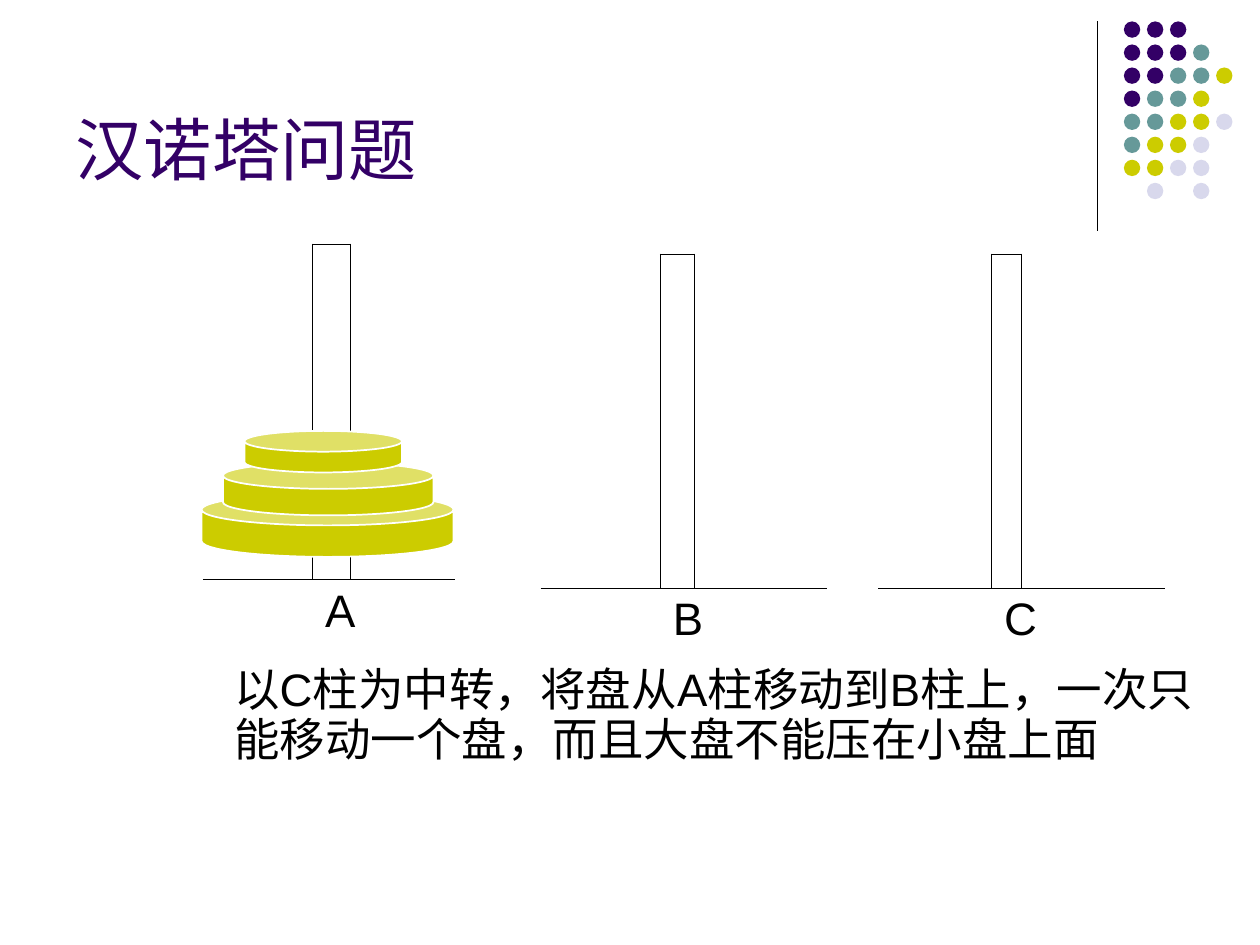
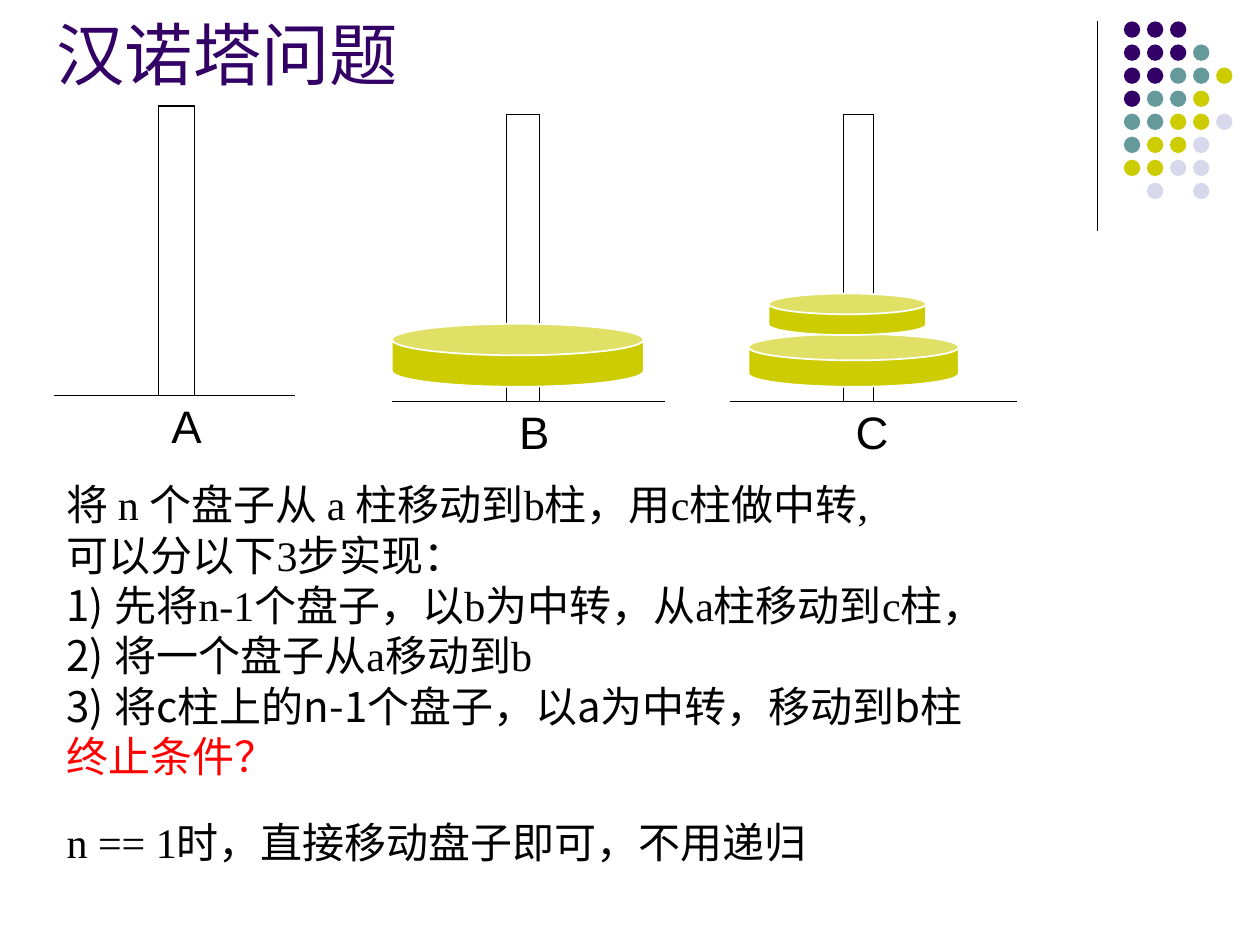
from typing import NamedTuple

from lxml.etree import SubElement
from pptx import Presentation
from pptx.dml.color import RGBColor
from pptx.enum.shapes import MSO_CONNECTOR, MSO_SHAPE
from pptx.enum.text import MSO_ANCHOR, MSO_AUTO_SIZE, PP_ALIGN
from pptx.oxml.ns import qn
from pptx.util import Inches, Pt

BLACK, WHITE, RED = "000000", "FFFFFF", "FF0000"
PURPLE, TEAL, OLIVE, LILAC = "330066", "669999", "CCCC00", "D8D8EC"
SANS, SERIF, HAN = "Arial", "Times New Roman", "Noto Sans CJK SC"

DOTS = ["PPP", "PPPT", "PPTTY", "PTTY", "TTYYL", "TYYL", "YYLL", " L L"]
DOT_FILL = {"P": PURPLE, "T": TEAL, "Y": OLIVE, "L": LILAC}
DOT, DOT_STEP = 0.13, 0.183
SHAFT_ROWS = 4


class Box(NamedTuple):
    left: float
    top: float
    width: float
    height: float


class Peg(NamedTuple):
    label: str
    left: float
    top: float
    cols: tuple[float, float, float]
    shaft: float


class Disc(NamedTuple):
    width: float
    height: float


class Line(NamedTuple):
    text: str
    font: str = SERIF
    size: float = 24
    color: str = BLACK
    number: int = 0


BIG, MID, SMALL = Disc(2, 0.5), Disc(1.67, 0.42), Disc(1.25, 0.33)


def rgb(color: str) -> RGBColor:
    return RGBColor.from_string(color)


def place(box: Box) -> list[int]:
    return [Inches(side) for side in box]


def style(para, font: str, size: float, color: str) -> None:
    para.font.name = font
    para.font.size = Pt(size)
    para.font.color.rgb = rgb(color)
    props = para._p.pPr.find(qn("a:defRPr"))
    SubElement(props, qn("a:ea"), typeface=HAN)


def number(para, start: int, font: str) -> None:
    """Number a paragraph as 1) with a hanging indent."""
    props = para._p.get_or_add_pPr()
    props.set("marL", str(Inches(0.38)))
    props.set("indent", str(-Inches(0.38)))
    SubElement(props, qn("a:buFont"), typeface=font)
    SubElement(props, qn("a:buAutoNum"), type="arabicParenR", startAt=str(start))


def add_title(slide, text: str, box: Box) -> None:
    title = slide.shapes.title
    title.left, title.top, title.width, title.height = place(box)
    frame = title.text_frame
    frame.text = text
    frame.auto_size = MSO_AUTO_SIZE.NONE
    frame.vertical_anchor = MSO_ANCHOR.BOTTOM
    para = frame.paragraphs[0]
    para.alignment = PP_ALIGN.LEFT
    style(para, SANS, 39, PURPLE)


def add_text(slide, box: Box, lines: list[Line], spacing: float = 1) -> None:
    frame = slide.shapes.add_textbox(*place(box)).text_frame
    frame.word_wrap = True
    for i, line in enumerate(lines):
        para = frame.add_paragraph() if i else frame.paragraphs[0]
        para.text = line.text
        para.line_spacing = spacing
        if line.number:
            number(para, line.number, line.font)
        style(para, line.font, line.size, line.color)


def add_shape(shapes, kind: MSO_SHAPE, box: Box, fill: str):
    shape = shapes.add_shape(kind, *place(box))
    shape.shadow.inherit = False
    shape.fill.solid()
    shape.fill.fore_color.rgb = rgb(fill)
    shape.line.fill.background()
    return shape


def add_disc(slide, disc: Disc, left: float, top: float) -> None:
    can = add_shape(slide.shapes, MSO_SHAPE.CAN, Box(left, top, *disc), OLIVE)
    can.adjustments[0] = 0.5
    can.line.color.rgb = rgb(WHITE)
    can.line.width = Pt(1)


def set_edges(cell, edges: dict[str, float]) -> None:
    """Draw the given sides (L, R, T, B) in black and clear the rest."""
    props = cell._tc.get_or_add_tcPr()
    for side in "LRTB":
        width = edges.get(side, 0)
        line = SubElement(props, qn(f"a:ln{side}"), w=str(Pt(width)))
        if width:
            fill = SubElement(line, qn("a:solidFill"))
            SubElement(fill, qn("a:srgbClr"), val=BLACK)
        else:
            SubElement(line, qn("a:noFill"))
    cell.fill.background()


def add_peg(slide, peg: Peg) -> None:
    foot = 0.54
    box = Box(peg.left, peg.top, sum(peg.cols), peg.shaft + foot)
    table = slide.shapes.add_table(SHAFT_ROWS + 1, 3, *place(box)).table
    table.first_row = table.horz_banding = False
    for col, width in zip(table.columns, peg.cols):
        col.width = Inches(width)
    for row in table.rows:
        row.height = Inches(peg.shaft / SHAFT_ROWS)
    table.rows[SHAFT_ROWS].height = Inches(foot)
    for y in range(SHAFT_ROWS + 1):
        for x in range(3):
            edges = {}
            if y == SHAFT_ROWS:
                edges["T"] = 0.45
            else:
                if x != 1 or y == SHAFT_ROWS - 1:
                    edges["B"] = 0.45
                if x > 0:
                    edges["L"] = 0.45
                if x < 2:
                    edges["R"] = 0.45
                if x == 1 and y == 0:
                    edges["T"] = 1.08
            set_edges(table.cell(y, x), edges)
    for x in (0, 2):
        table.cell(0, x).merge(table.cell(SHAFT_ROWS - 1, x))
    cell = table.cell(SHAFT_ROWS, 1)
    cell.text = peg.label
    style(cell.text_frame.paragraphs[0], SANS, 26, BLACK)


def add_decor(slide) -> None:
    """Put the rule and the dot grid on the layout of the slide."""
    x = Inches(8.71)
    rule = slide.shapes.add_connector(
        MSO_CONNECTOR.STRAIGHT, x, Inches(0.17), x, Inches(1.83))
    rule.line.color.rgb = rgb(BLACK)
    rule.line.width = Pt(0.75)
    SubElement(rule._element.spPr, qn("a:effectLst"))
    grid = slide.shapes.add_group_shape()
    for y, row in enumerate(DOTS):
        for x, key in enumerate(row):
            if key in DOT_FILL:
                box = Box(8.92 + x * DOT_STEP, 0.17 + y * DOT_STEP, DOT, DOT)
                add_shape(grid.shapes, MSO_SHAPE.OVAL, box, DOT_FILL[key])
    tree = slide.slide_layout.shapes._spTree
    for item in (rule, grid):
        tree.append(item._element)


def add_task(slide) -> None:
    add_title(slide, "汉诺塔问题", Box(0.5, 0.13, 8.25, 1.42))
    for peg in (
        Peg("A", 1.61, 1.94, (0.87, 0.3, 0.83), 2.66),
        Peg("B", 4.29, 2.02, (0.95, 0.27, 1.05), 2.65),
        Peg("C", 6.97, 2.02, (0.9, 0.24, 1.14), 2.65),
    ):
        add_peg(slide, peg)
    for i, disc in enumerate((BIG, MID, SMALL)):
        add_disc(slide, disc, 1.6 + 0.17 * i, 3.92 - 0.25 * i)
    text = "以C柱为中转，将盘从A柱移动到B柱上，一次只能移动一个盘，而且大盘不能压在小盘上面"
    add_text(slide, Box(1.76, 5.25, 7.89, 1.81), [Line(text, SANS, 26)], 0.9)


def add_steps(slide) -> None:
    add_title(slide, "汉诺塔问题", Box(0.35, 0.1, 8.25, 0.7))
    add_text(slide, Box(0.43, 3.75, 8.43, 2.5), [
        Line("将 n 个盘子从 a 柱移动到b柱，用c柱做中转,"),
        Line("可以分以下3步实现："),
        Line("先将n-1个盘子，以b为中转，从a柱移动到c柱，", number=1),
        Line("将一个盘子从a移动到b", number=2),
        Line("将c柱上的n-1个盘子，以a为中转，移动到b柱", HAN, number=3),
        Line("终止条件？", HAN, color=RED),
    ])
    for peg in (
        Peg("A", 0.43, 0.84, (0.83, 0.28, 0.8), 2.3),
        Peg("B", 3.11, 0.91, (0.91, 0.26, 1), 2.28),
        Peg("C", 5.79, 0.91, (0.9, 0.24, 1.14), 2.28),
    ):
        add_peg(slide, peg)
    add_disc(slide, BIG, 3.11, 2.57)
    add_disc(slide, MID, 5.94, 2.65)
    add_disc(slide, SMALL, 6.1, 2.33)
    end = Line("n == 1时，直接移动盘子即可，不用递归")
    add_text(slide, Box(0.43, 6.43, 8.43, 0.5), [end])


def main() -> None:
    deck = Presentation()
    deck.slide_width, deck.slide_height = Inches(10), Inches(7.5)
    layout = deck.slide_layouts[5]
    first, second = (deck.slides.add_slide(layout) for _ in range(2))
    add_decor(first)
    add_task(first)
    add_steps(second)
    deck.save("out.pptx")


if __name__ == "__main__":
    main()
